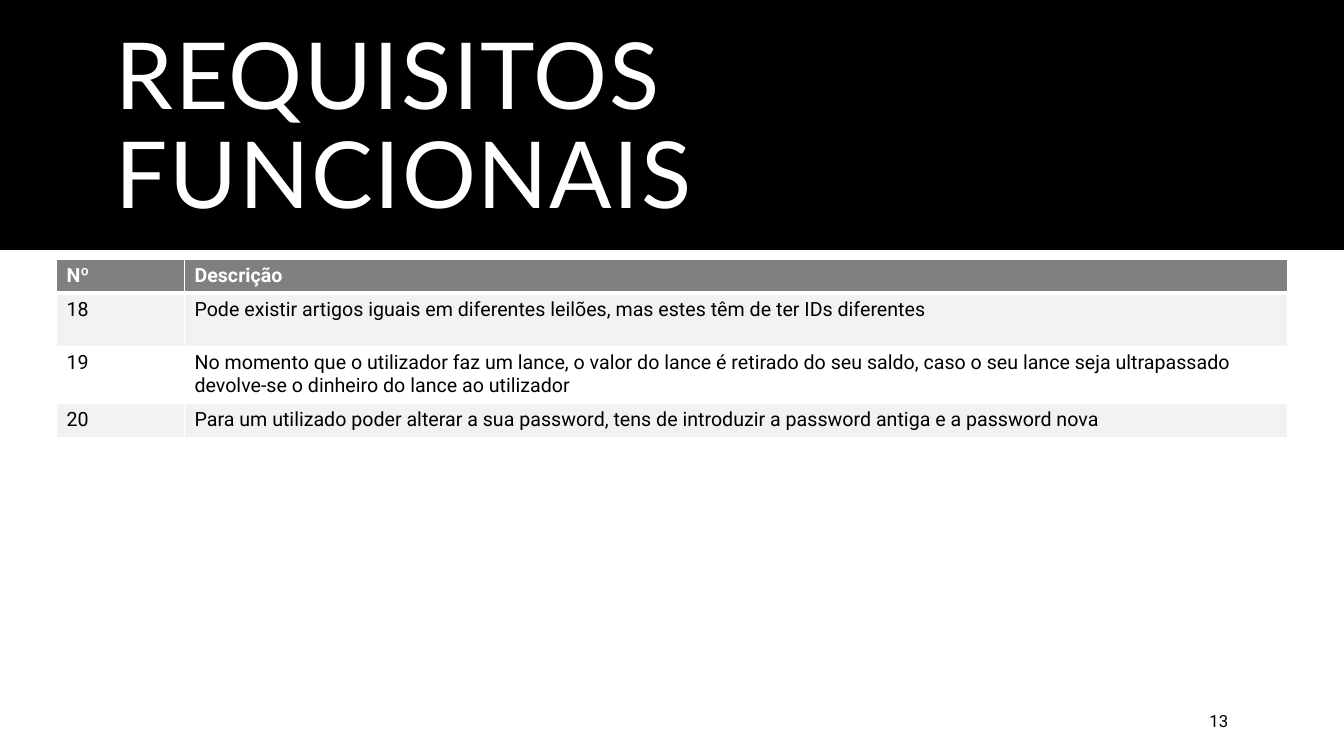
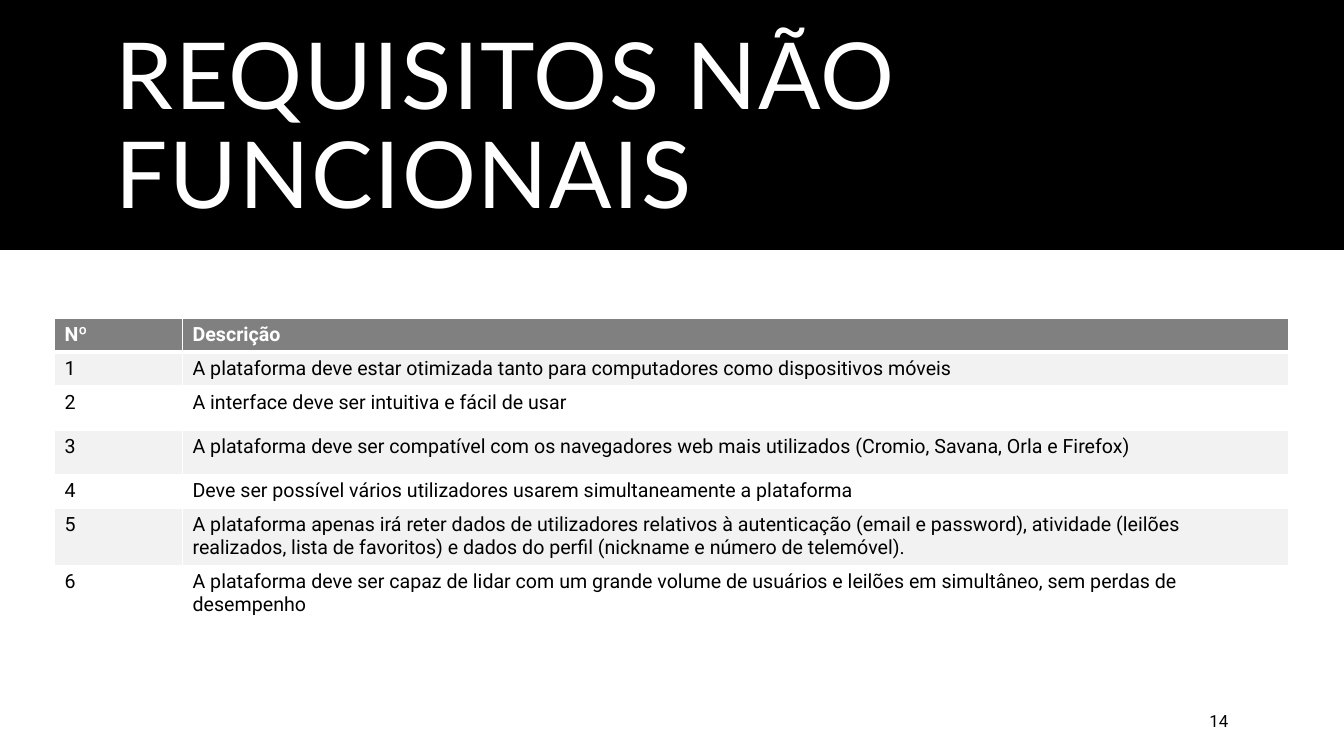
import pptx
import pptx.dml.color
import pptx.enum.shapes
import pptx.enum.text
import pptx.oxml
import pptx.oxml.ns
import pptx.util
from pptx.util import Inches

MSO_ANCHOR = pptx.enum.text.MSO_ANCHOR
PP_ALIGN = pptx.enum.text.PP_ALIGN

FUNCTIONAL = [
    ("18", "Pode existir artigos iguais em diferentes leilões, mas estes têm de ter IDs diferentes", 0.53),
    ("19", "No momento que o utilizador faz um lance, o valor do lance é retirado do seu saldo, "
           "caso o seu lance seja ultrapassado devolve-se o dinheiro do lance ao utilizador", 0.53),
    ("20", "Para um utilizado poder alterar a sua password, tens de introduzir a password antiga "
           "e a password nova", 0.34),
]
NON_FUNCTIONAL = [
    ("1", "A plataforma deve estar otimizada tanto para computadores como dispositivos móveis", 0.31),
    ("2", "A interface deve ser intuitiva e fácil de usar", 0.44),
    ("3", "A plataforma deve ser compatível com os navegadores web mais utilizados "
          "(Cromio, Savana, Orla e Firefox)", 0.44),
    ("4", "Deve ser possível vários utilizadores usarem simultaneamente a plataforma", 0.31),
    ("5", "A plataforma apenas irá reter dados de utilizadores relativos à autenticação "
          "(email e password), atividade (leilões realizados, lista de favoritos) e dados do perfil "
          "(nickname e número de telemóvel).", 0.53),
    ("6", "A plataforma deve ser capaz de lidar com um grande volume de usuários e leilões em "
          "simultâneo, sem perdas de desempenho", 0.53),
]


def rgb(value):
    return pptx.dml.color.RGBColor.from_string(value)


class Deck:
    BLACK, WHITE, HEADER, STRIPE = "000000", "FFFFFF", "808080", "F2F2F2"
    TITLE_FONT, BODY_FONT = "Lato", "Roboto"
    WIDTH, HEIGHT = Inches(13.33), Inches(7.5)
    NUMBER_WIDTH, HEADER_HEIGHT = 1.27, 0.31

    def __init__(self):
        self.presentation = pptx.Presentation()
        self.presentation.slide_width = self.WIDTH
        self.presentation.slide_height = self.HEIGHT
        self.slide = None

    def add_slide(self, title, page):
        """Start a slide with its black band, title and page number."""
        layout = self.presentation.slide_layouts.get_by_name("Title Only")
        self.slide = self.presentation.slides.add_slide(layout)
        self.band()
        self.title(title)
        self.page_number(page)

    def styled_run(self, paragraph, text, size, color, font=BODY_FONT, bold=False):
        run = paragraph.add_run()
        run.text = text
        run.font.size = pptx.util.Pt(size)
        run.font.name = font
        run.font.bold = bold
        run.font.color.rgb = rgb(color)
        return run

    def band(self):
        band = self.slide.shapes.add_shape(
            pptx.enum.shapes.MSO_SHAPE.RECTANGLE, 0, 0, self.WIDTH, Inches(2.48))
        band.shadow.inherit = False
        band.fill.solid()
        band.fill.fore_color.rgb = rgb(self.BLACK)
        band.line.fill.background()
        # The first two children of the tree are its properties: index 2 is the back.
        self.slide.shapes._spTree.insert(2, band._element)

    def title(self, text):
        title = self.slide.shapes.title
        title.left, title.top = Inches(1.05), Inches(0.35)
        title.width, title.height = Inches(11.23), Inches(1.86)
        frame = title.text_frame
        frame.word_wrap = True
        frame.auto_size = pptx.enum.text.MSO_AUTO_SIZE.NONE
        frame.vertical_anchor = MSO_ANCHOR.MIDDLE
        paragraph = frame.paragraphs[0]
        paragraph.alignment = PP_ALIGN.LEFT
        paragraph.line_spacing = 0.9
        run = self.styled_run(paragraph, text, 66, self.WHITE, self.TITLE_FONT)
        run.font._element.set("spc", "120")

    def page_number(self, page):
        box = self.slide.shapes.add_textbox(Inches(11.26), Inches(6.95), Inches(1.02), Inches(0.4))
        box.text_frame.word_wrap = True
        box.text_frame.vertical_anchor = MSO_ANCHOR.MIDDLE
        paragraph = box.text_frame.paragraphs[0]
        paragraph.alignment = PP_ALIGN.RIGHT
        self.styled_run(paragraph, str(page), 12, self.BLACK)

    def borders(self, cell, top=1, bottom=1):
        """Draw white cell borders; widths are in points."""
        properties = cell._tc.get_or_add_tcPr()
        for side, width in (("L", 1), ("R", 1), ("T", top), ("B", bottom)):
            properties.append(pptx.oxml.parse_xml(
                f'<a:ln{side} {pptx.oxml.ns.nsdecls("a")} w="{pptx.util.Pt(width)}">'
                f'<a:solidFill><a:srgbClr val="{self.WHITE}"/></a:solidFill></a:ln{side}>'))

    def requirements(self, left, top, width, requirements):
        """Add a table of (number, description, row height) under a header row."""
        rows = [("Nº", "Descrição", self.HEADER_HEIGHT), *requirements]
        height = sum(row[-1] for row in rows)
        table = self.slide.shapes.add_table(
            len(rows), 2, Inches(left), Inches(top), Inches(width), Inches(height)).table
        table.horz_banding = False
        table.columns[0].width = Inches(self.NUMBER_WIDTH)
        table.columns[1].width = Inches(width - self.NUMBER_WIDTH)
        for index, (*texts, row_height) in enumerate(rows):
            table.rows[index].height = Inches(row_height)
            is_header = index == 0
            stripe = self.STRIPE if index % 2 else self.WHITE
            for column, text in enumerate(texts):
                cell = table.cell(index, column)
                self.borders(cell, top=3 if index == 1 else 1, bottom=3 if is_header else 1)
                cell.fill.solid()
                cell.fill.fore_color.rgb = rgb(self.HEADER if is_header else stripe)
                self.styled_run(cell.text_frame.paragraphs[0], text, 14,
                                self.WHITE if is_header else self.BLACK, bold=is_header)


def main():
    deck = Deck()
    deck.add_slide("REQUISITOS FUNCIONAIS", 13)
    deck.requirements(0.56, 2.57, 12.21, FUNCTIONAL)
    deck.add_slide("REQUISITOS NÃO FUNCIONAIS", 14)
    deck.requirements(0.54, 3.16, 12.24, NON_FUNCTIONAL)
    deck.presentation.save("out.pptx")


if __name__ == "__main__":
    main()
